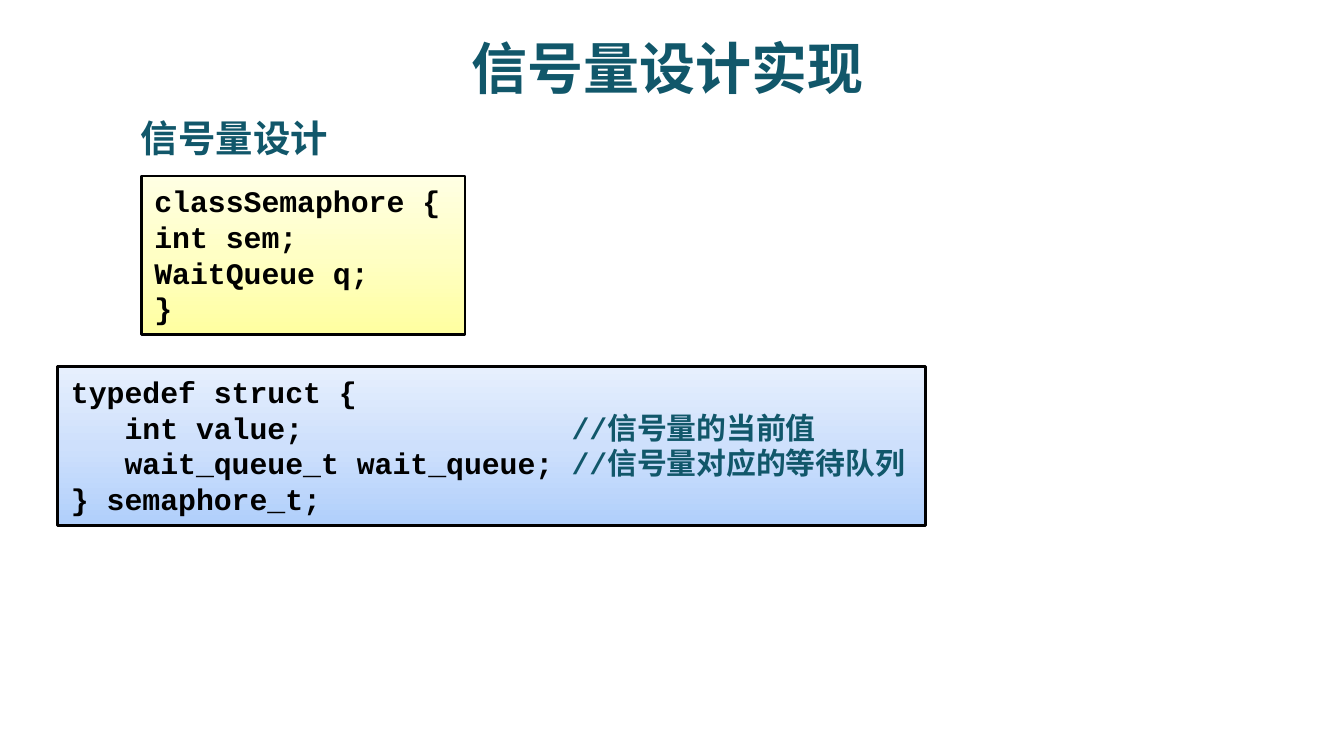
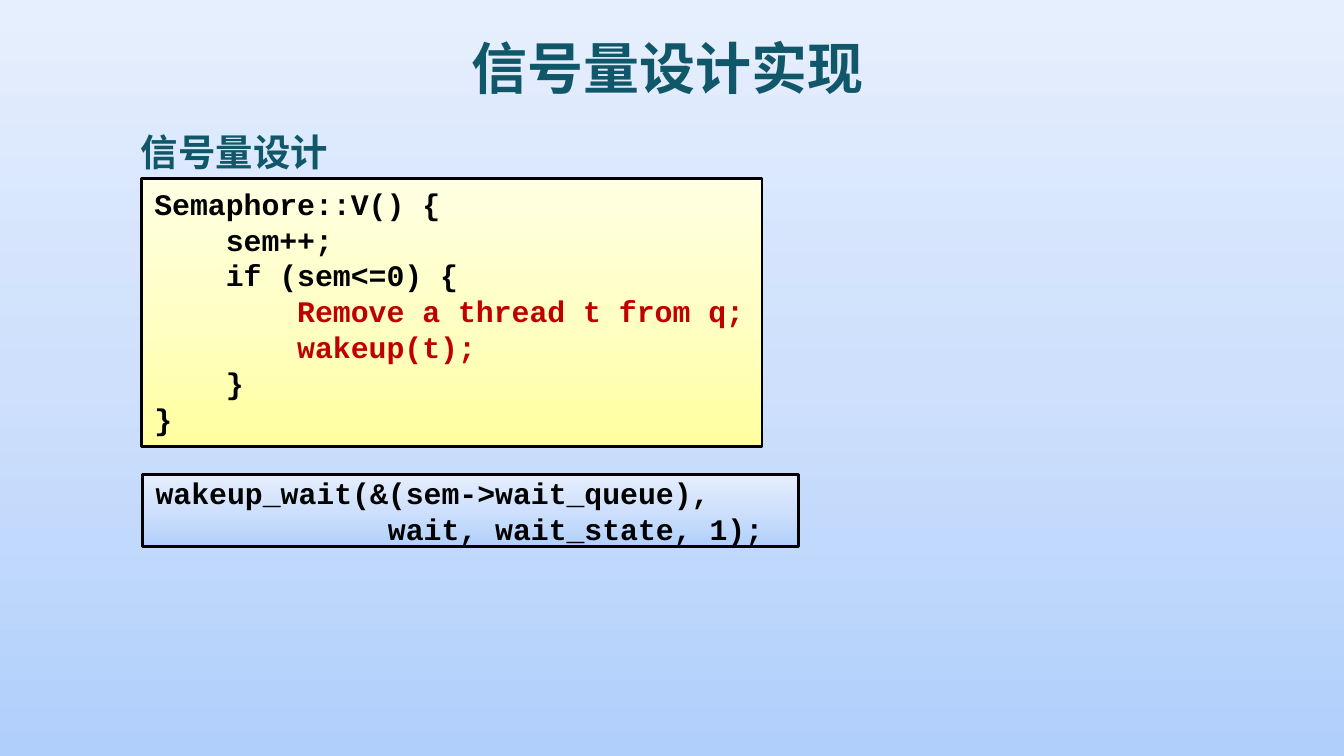
from copy import deepcopy

from lxml import etree
from pptx import Presentation
from pptx.dml.color import RGBColor
from pptx.enum import shapes, text
from pptx.oxml import ns
from pptx.util import Inches, Pt

TEAL = "11576A"
BLACK = "000000"
RED = "C00000"
YELLOWS = ("FFFFA0", "FFFFC5", "FFFFE3")
BLUES = ("B0CFFB", "CEE0FC", "E6EFFD")
TITLE_FONT = "Noto Sans CJK SC"
HEADING_FONT = "Noto Sans CJK JP"
CODE_FONT = "Courier New"


def color(hex_string):
    return RGBColor.from_string(hex_string)


def fill_gradient(fill, element, colors):
    fill.gradient()
    fill.gradient_angle = 90
    stop_list = element.find(".//" + ns.qn("a:gsLst"))
    stop_list.insert(1, deepcopy(stop_list[0]))
    for index, (stop, hex_string) in enumerate(zip(fill.gradient_stops, colors)):
        stop.position = index / (len(colors) - 1)
        stop.color.rgb = color(hex_string)


def add_run(paragraph, content, size, font_name, hex_string, asian_font):
    run = paragraph.add_run()
    run.text = content
    font = run.font
    font.size = Pt(size)
    font.bold = True
    font.color.rgb = color(hex_string)
    font.name = font_name
    asian = etree.SubElement(font._element, ns.qn("a:ea"))
    asian.set("typeface", asian_font)


def add_title(slide, content):
    title = slide.shapes.title
    title.left, title.top = Inches(0.47), Inches(0.25)
    title.width, title.height = Inches(9), Inches(0.56)
    frame = title.text_frame
    frame.auto_size = text.MSO_AUTO_SIZE.NONE
    frame.vertical_anchor = text.MSO_ANCHOR.TOP
    frame.margin_top = frame.margin_bottom = 0
    paragraph = frame.paragraphs[0]
    paragraph.alignment = text.PP_ALIGN.CENTER
    add_run(paragraph, content, 30, TITLE_FONT, TEAL, TITLE_FONT)


def add_heading(slide, content, top):
    box = slide.shapes.add_textbox(Inches(0.95), Inches(top), Inches(1.6), Inches(0.44))
    frame = box.text_frame
    frame.word_wrap = False
    frame.auto_size = text.MSO_AUTO_SIZE.SHAPE_TO_FIT_TEXT
    add_run(frame.paragraphs[0], content, 20, HEADING_FONT, TEAL, HEADING_FONT)


def add_code(slide, left, top, width, height, colors, lines, compact=False):
    box = slide.shapes.add_shape(
        shapes.MSO_SHAPE.RECTANGLE, Inches(left), Inches(top), Inches(width), Inches(height)
    )
    box.shadow.inherit = False
    fill_gradient(box.fill, box.element, colors)
    box.line.color.rgb = color(BLACK)
    box.line.width = Pt(1.5)
    frame = box.text_frame
    frame.word_wrap = True
    frame.auto_size = text.MSO_AUTO_SIZE.SHAPE_TO_FIT_TEXT
    frame.vertical_anchor = text.MSO_ANCHOR.MIDDLE if compact else text.MSO_ANCHOR.TOP
    if compact:
        frame.margin_top = frame.margin_bottom = 0
    for index, line in enumerate(lines):
        paragraph = frame.add_paragraph() if index else frame.paragraphs[0]
        paragraph.alignment = text.PP_ALIGN.LEFT
        for content, hex_string in line:
            add_run(paragraph, content, 16, CODE_FONT, hex_string, TITLE_FONT)


def code_lines(*contents, hex_string=BLACK):
    return [[(content, hex_string)] for content in contents]


def add_slide(presentation, background=None):
    slide = presentation.slides.add_slide(presentation.slide_layouts[5])
    fill = slide.background.fill
    if background:
        fill_gradient(fill, slide.element, background)
    else:
        fill.solid()
        fill.fore_color.rgb = color("FFFFFF")
    add_title(slide, "信号量设计实现")
    return slide


def build_structure_slide(presentation):
    slide = add_slide(presentation)
    class_lines = code_lines("classSemaphore {", "int sem;", "WaitQueue q;", "}")
    add_code(slide, 1.05, 1.31, 2.41, 1.18, YELLOWS, class_lines)
    struct_lines = [
        [("typedef struct {", BLACK)],
        [("   int value;               ", BLACK), ("//信号量的当前值", TEAL)],
        [("   wait_queue_t wait_queue; ", BLACK), ("//信号量对应的等待队列", TEAL)],
        [("} semaphore_t;", BLACK)],
    ]
    add_code(slide, 0.43, 2.73, 6.46, 1.18, BLUES, struct_lines)
    add_heading(slide, "信号量设计", 0.81)


def build_release_slide(presentation):
    slide = add_slide(presentation, BLUES)
    release_lines = (
        code_lines("Semaphore::V() {", "    sem++;", "    if (sem<=0) {")
        + code_lines(
            "        Remove a thread t from q;", "        wakeup(t);", hex_string=RED
        )
        + code_lines("    }", "}")
    )
    add_code(slide, 1.05, 1.33, 4.62, 1.99, YELLOWS, release_lines)
    wakeup_lines = code_lines(
        "wakeup_wait(&(sem->wait_queue),", "             wait, wait_state, 1);"
    )
    add_code(slide, 1.06, 3.53, 4.88, 0.54, BLUES, wakeup_lines, compact=True)
    add_heading(slide, "信号量设计", 0.91)


def main():
    presentation = Presentation()
    presentation.slide_width = Inches(10)
    presentation.slide_height = presentation.slide_width * 9 // 16
    build_structure_slide(presentation)
    build_release_slide(presentation)
    presentation.save("out.pptx")


if __name__ == "__main__":
    main()
